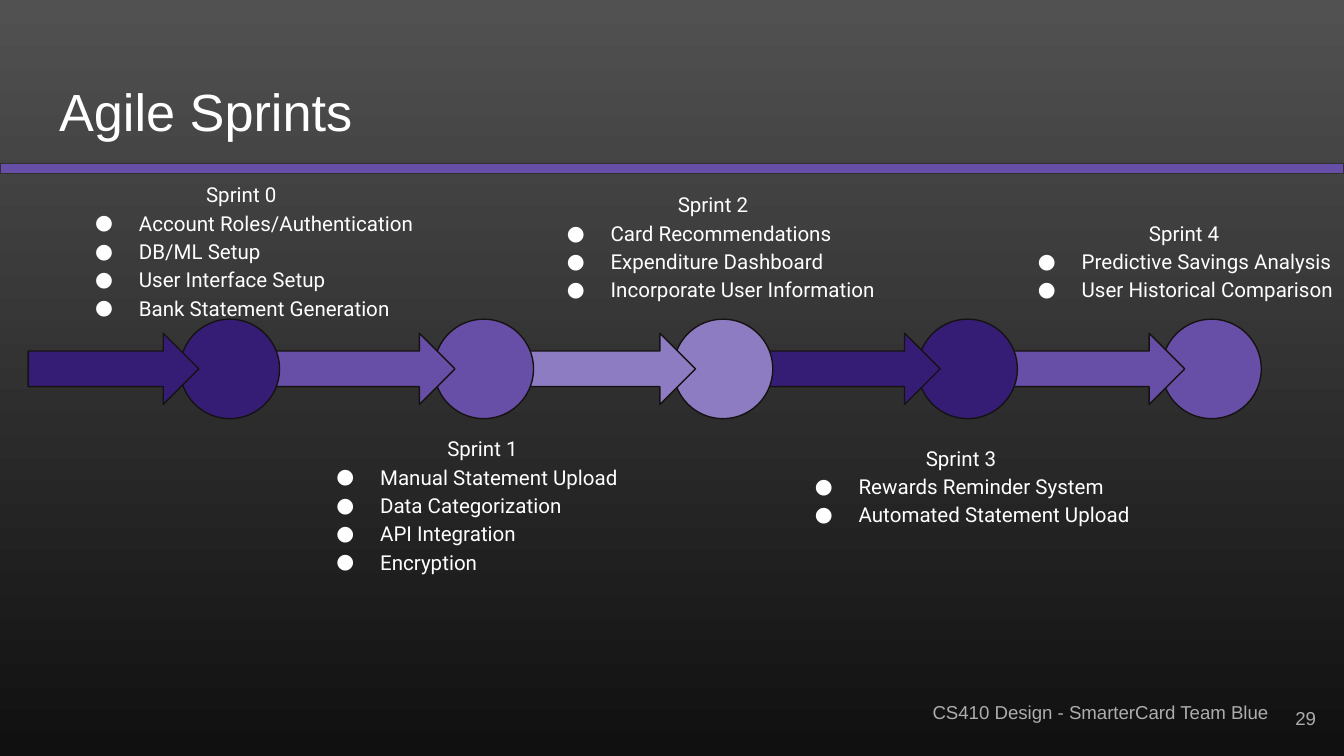
import pptx
import pptx.util
import pptx.dml.color
import pptx.enum.shapes
import pptx.enum.text
import pptx.oxml.ns
from lxml import etree

PX = 4572  # 200 px to the inch
COLORS = {
    "top": "515151", "bottom": "101010", "white": "FFFFFF", "gray": "ADADAD",
    "bar_line": "303030", "outline": "161212",
    "dark": "351C75", "medium": "674EA7", "light": "8E7CC3",
}
SHAPES = pptx.enum.shapes.MSO_SHAPE
ALIGN = pptx.enum.text.PP_ALIGN
ANCHOR = pptx.enum.text.MSO_ANCHOR


def rgb(name):
    return pptx.dml.color.RGBColor.from_string(COLORS[name])


def add_block(kind, left, top, width, height, fill, line):
    shape = slide.shapes.add_shape(kind, left * PX, top * PX, width * PX, height * PX)
    shape.shadow.inherit = False
    shape.fill.solid()
    shape.fill.fore_color.rgb = rgb(fill)
    shape.line.color.rgb = rgb(line)
    shape.line.width = pptx.util.Pt(0.75)


presentation = pptx.Presentation()
presentation.slide_width = 2000 * PX
presentation.slide_height = 1125 * PX
slide = presentation.slides.add_slide(presentation.slide_layouts[5])

# Background gradient, running from top to bottom
background = slide.background.fill
background.gradient()
background.gradient_angle = 270
for stop, position, name in zip(background.gradient_stops, (0, 1), ("top", "bottom")):
    stop.position = position
    stop.color.rgb = rgb(name)

# Title and the bar below it
title = slide.shapes.title
title.left, title.top, title.width, title.height = 68 * PX, 97 * PX, 1864 * PX, 134 * PX
frame = title.text_frame
frame.text = "Agile Sprints"
frame.margin_left = frame.margin_right = frame.margin_top = frame.margin_bottom = 20 * PX
frame.vertical_anchor = ANCHOR.BOTTOM
paragraph = frame.paragraphs[0]
paragraph.alignment = ALIGN.LEFT
paragraph.font.name = "Arial"
paragraph.font.size = pptx.util.Pt(28)
paragraph.font.color.rgb = rgb("white")
add_block(SHAPES.RECTANGLE, 0, 243, 2000, 15, "medium", "bar_line")

# Timeline, from the last step to the first so that each arrow lies over its circle
steps = [  # arrow left, arrow width, circle left, colour
    (42, 254, 268, "dark"),
    (404, 273, 646, "medium"),
    (774, 261, 1002, "light"),
    (1144, 255, 1366, "dark"),
    (1490, 273, 1729, "medium"),
]
for arrow_left, arrow_width, circle_left, color in reversed(steps):
    add_block(SHAPES.OVAL, circle_left, 475, 148, 148, color, "outline")
    add_block(SHAPES.RIGHT_ARROW, arrow_left, 496, arrow_width, 106, color, "outline")

# Sprint lists and footer: left, top, width, height, lines, font, size, colour
sprints = [
    (87, 246, 672, 204, ["Account Roles/Authentication", "DB/ML Setup",
                         "User Interface Setup", "Bank Statement Generation"]),
    (446, 624, 528, 172, ["Manual Statement Upload", "Data Categorization",
                          "API Integration", "Encryption"]),
    (789, 261, 620, 172, ["Card Recommendations", "Expenditure Dashboard",
                          "Incorporate User Information"]),
    (1158, 638, 592, 172, ["Rewards Reminder System", "Automated Statement Upload"]),
    (1490, 303, 534, 172, ["Predictive Savings Analysis", "User Historical Comparison"]),
]
texts = [
    (left, top, width, height, [f"Sprint {number}"] + items, "Roboto", 11, "white")
    for number, (left, top, width, height, items) in enumerate(sprints)
]
texts.append((1368, 1026, 664, 74, ["CS410 Design - SmarterCard Team Blue"], "Arial", 10, "gray"))
texts.append((1858, 1026, 120, 86, ["29"], "Arial", 10, "gray"))

for left, top, width, height, lines, font, size, color in texts:
    box = slide.shapes.add_textbox(left * PX, top * PX, width * PX, height * PX)
    frame = box.text_frame
    frame.word_wrap = True
    frame.margin_left = frame.margin_right = frame.margin_top = frame.margin_bottom = 20 * PX
    frame.text = "\n".join(lines)
    for index, paragraph in enumerate(frame.paragraphs):
        paragraph.font.name = font
        paragraph.font.size = pptx.util.Pt(size)
        paragraph.font.color.rgb = rgb(color)
        if len(lines) == 1:
            continue
        # The heading is indented; the items hang behind a bullet
        paragraph.line_spacing = 1.15
        properties = paragraph._p.get_or_add_pPr()
        properties.set("marL", str(100 * PX))
        properties.set("indent", str((-65 if index else 100) * PX))
        if index:
            bullet_color = etree.SubElement(properties, pptx.oxml.ns.qn("a:buClr"))
            etree.SubElement(bullet_color, pptx.oxml.ns.qn("a:srgbClr"), val=COLORS[color])
            etree.SubElement(properties, pptx.oxml.ns.qn("a:buSzPts"), val=str(size * 100))
            etree.SubElement(properties, pptx.oxml.ns.qn("a:buFont"), typeface=font)
            etree.SubElement(properties, pptx.oxml.ns.qn("a:buChar"), char="●")
            properties.append(properties.find(pptx.oxml.ns.qn("a:defRPr")))

# The page number, added last, sits right and centred
frame.vertical_anchor = ANCHOR.MIDDLE
frame.paragraphs[0].alignment = ALIGN.RIGHT

presentation.save("out.pptx")
